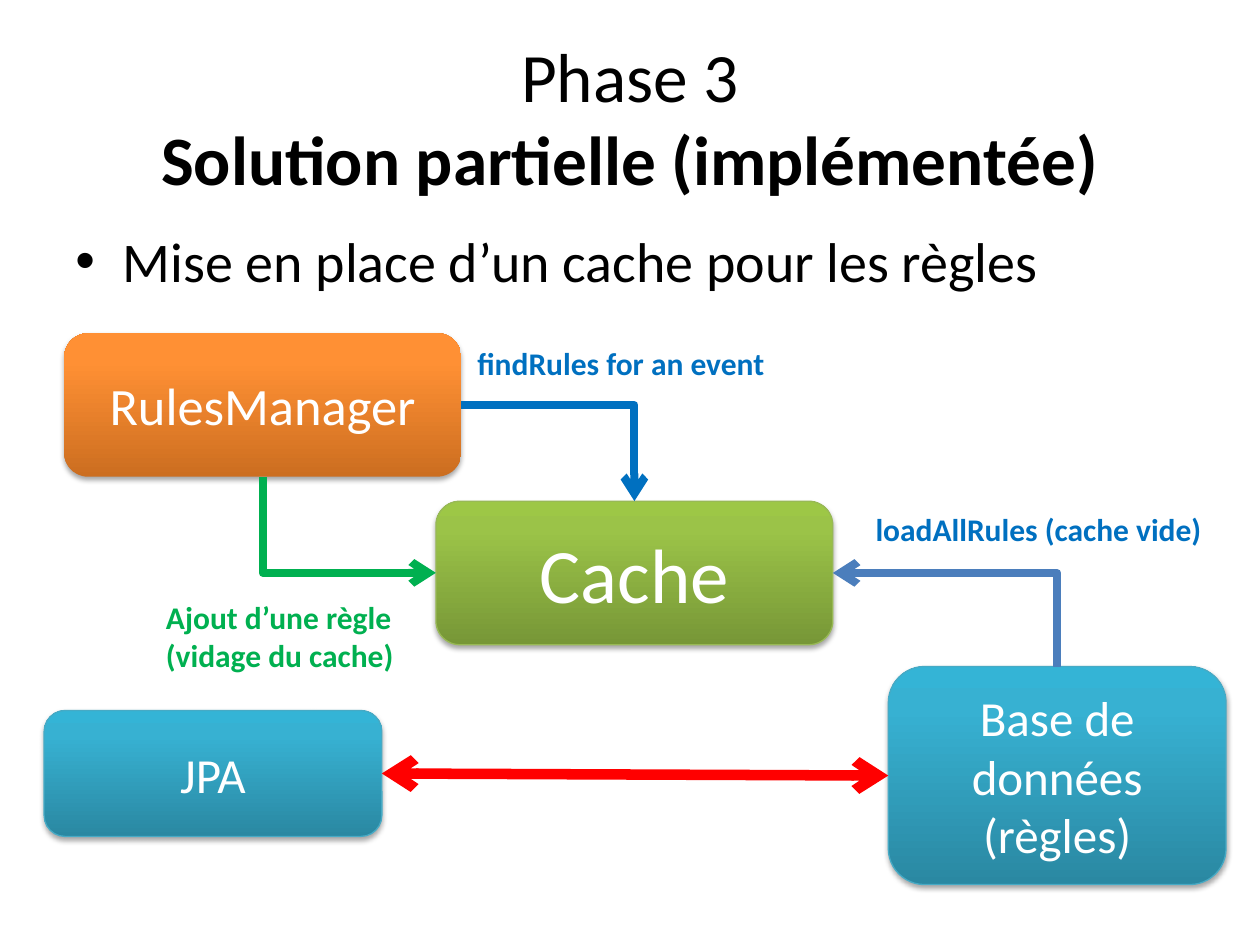
import copy
import pptx
import pptx.util
import pptx.dml.color
import pptx.enum.shapes
import pptx.enum.text
import pptx.oxml
import pptx.oxml.ns
from pptx.util import Pt

hues = {
    "black": "000000", "white": "FFFFFF", "blue": "0070C0", "slate": "4B7EBC",
    "green": "00B050", "red": "FF0000", "aqua": "46AAC5", "lime": "98B955",
}
fades = {
    "aqua": ("2A88A2", "37B1D2", "34B4D6"),
    "lime": ("779737", "9BC348", "9DC746"),
    "orange": ("CC6E20", "FF9034", "FF9136"),
}
rgb = pptx.dml.color.RGBColor.from_string
qn = pptx.oxml.ns.qn
kinds = pptx.enum.shapes
align = pptx.enum.text.PP_ALIGN
anchor = pptx.enum.text.MSO_ANCHOR


def write(para, lines, size, hue, bold=False):
    """Add one run per line, with line breaks between them."""
    for i, line in enumerate(lines):
        if i:
            para.add_line_break()
        run = para.add_run()
        run.text = line
        run.font.name = "Calibri"
        run.font.size = Pt(size)
        run.font.bold = bold
        run.font.color.rgb = rgb(hues[hue])


def child(node, tag, **attrs):
    """Append an XML child with the given attributes."""
    part = pptx.oxml.parse_xml(f"<{tag} {pptx.oxml.ns.nsdecls('a')}/>")
    for key, value in attrs.items():
        part.set(key, str(value))
    node.append(part)
    return part


deck = pptx.Presentation()
deck.slide_width, deck.slide_height = Pt(720), Pt(540)
slide = deck.slides.add_slide(deck.slide_layouts[6])
shapes = slide.shapes

# Title and bullet
title = shapes.add_textbox(Pt(36), Pt(21.6), Pt(648), Pt(90)).text_frame
title.word_wrap = True
title.vertical_anchor = anchor.MIDDLE
head = title.paragraphs[0]
head.alignment = align.CENTER
write(head, ["Phase 3"], 39.6, "black")
head.add_line_break()
write(head, ["Solution partielle (implémentée)"], 39.6, "black", True)

body = shapes.add_textbox(Pt(36), Pt(126), Pt(648), Pt(356.4)).text_frame
body.word_wrap = True
point = body.paragraphs[0]
props = point._p.get_or_add_pPr()
props.set("marL", str(Pt(27)))
props.set("indent", str(Pt(-27)))
child(props, "a:buFont", typeface="Arial")
child(props, "a:buChar", char="•")
write(point, ["Mise en place d’un cache pour les règles"], 32, "black")

# Boxes: name, place, fade, edge, size, lines
boxes = {}
for name, place, fade, edge, size, lines in [
    ("base", (507.6, 380.9, 193, 124.6), "aqua", "aqua", 28, ["Base de données", "(règles)"]),
    ("jpa", (25.2, 406, 193, 72), "aqua", "aqua", 28, ["JPA"]),
    ("cache", (249.1, 286.4, 226.8, 82), "lime", "lime", 44, ["Cache"]),
    ("rules", (36.7, 190.4, 226.8, 82), "orange", None, 30, ["RulesManager"]),
]:
    box = shapes.add_shape(kinds.MSO_SHAPE.ROUNDED_RECTANGLE, *map(Pt, place))
    boxes[name] = box
    box.fill.gradient()
    box.fill.gradient_angle = 90
    stops = box._element.spPr.find(qn("a:gradFill")).find(qn("a:gsLst"))
    stops.append(copy.deepcopy(stops[-1]))
    for stop, spot, tint in zip(box.fill.gradient_stops, (0, 0.8, 1), fades[fade]):
        stop.position = spot
        stop.color.rgb = rgb(tint)
    if edge:
        box.line.color.rgb = rgb(hues[edge])
        box.line.width = Pt(0.75)
    else:
        box.line.fill.background()
    box.shadow.inherit = False
    glow = child(box._element.spPr.find(qn("a:effectLst")), "a:outerShdw",
                 blurRad=Pt(3.1), dist=Pt(1.8), dir=5400000, rotWithShape=0)
    child(child(glow, "a:srgbClr", val=hues["black"]), "a:alpha", val=35000)
    frame = box.text_frame
    frame.word_wrap = True
    frame.vertical_anchor = anchor.MIDDLE
    frame.paragraphs[0].alignment = align.CENTER
    write(frame.paragraphs[0], lines, size, "white")

# Links: bent ones run across first, then up or down
top, left, foot, right = range(4)
for start, out, end, into, hue, width, tips in [
    ("jpa", right, "base", left, "red", 6, ("headEnd", "tailEnd")),
    ("rules", right, "cache", top, "blue", 4.5, ("tailEnd",)),
    ("cache", right, "base", top, "slate", 4.5, ("headEnd",)),
    ("cache", left, "rules", foot, "green", 4.5, ("headEnd",)),
]:
    bent = start != "jpa"
    kind = kinds.MSO_CONNECTOR.ELBOW if bent else kinds.MSO_CONNECTOR.STRAIGHT
    link = shapes.add_connector(kind, 0, 0, 0, 0)
    link.begin_connect(boxes[start], out)
    link.end_connect(boxes[end], into)
    link.line.color.rgb = rgb(hues[hue])
    link.line.width = Pt(width)
    shape = link._element.spPr
    if bent:
        shape.find(qn("a:prstGeom")).set("prst", "bentConnector2")
    for tip in tips:
        child(shape.find(qn("a:ln")), f"a:{tip}", type="arrow")
    child(shape, "a:effectLst")

# Labels
for place, hue, lines in [
    ((265.7, 193, 180, 29), "blue", ["findRules for an event"]),
    ((493.2, 288, 202.3, 29), "blue", ["loadAllRules (cache vide)"]),
    ((87.8, 338.4, 148.3, 51), "green", ["Ajout d’une règle", "(vidage du cache)"]),
]:
    note = shapes.add_textbox(*map(Pt, place)).text_frame
    note.word_wrap = False
    note.auto_size = pptx.enum.text.MSO_AUTO_SIZE.SHAPE_TO_FIT_TEXT
    write(note.paragraphs[0], lines, 18, hue, True)

deck.save("out.pptx")
